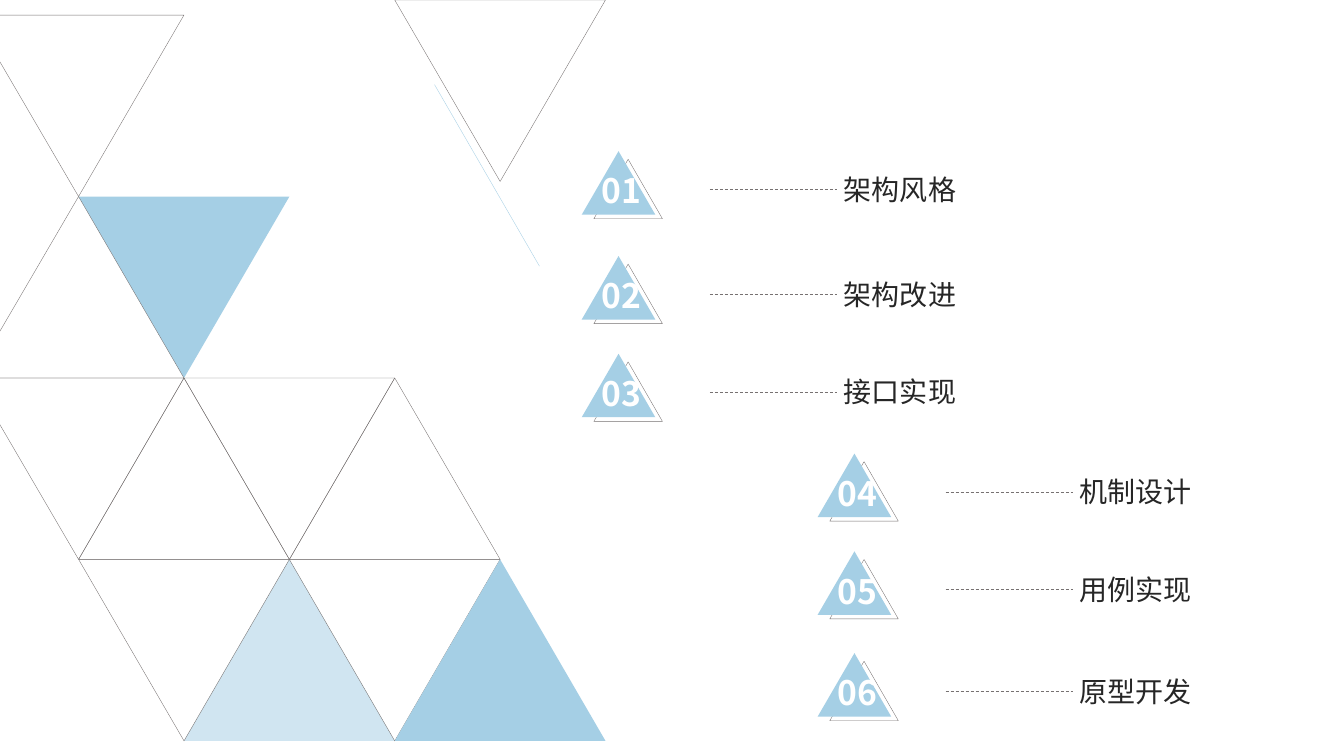
from lxml import etree
from pptx import Presentation
from pptx.dml.color import RGBColor
from pptx.enum.dml import MSO_LINE
from pptx.enum.shapes import MSO_CONNECTOR, MSO_SHAPE
from pptx.enum.text import MSO_ANCHOR, MSO_AUTO_SIZE, PP_ALIGN
from pptx.oxml.ns import qn
from pptx.util import Inches, Pt

TRIANGLE = MSO_SHAPE.ISOSCELES_TRIANGLE
STRAIGHT = MSO_CONNECTOR.STRAIGHT
DASH = MSO_LINE.DASH
MIDDLE = MSO_ANCHOR.MIDDLE
GROW = MSO_AUTO_SIZE.SHAPE_TO_FIT_TEXT
JUSTIFY = PP_ALIGN.JUSTIFY

FONT = "Noto Sans CJK SC"
COLORS = {"blue": "A5CFE5", "gray": "767171", "ink": "262626", "white": "FFFFFF"}

# Triangle pattern: left and top of the lattice, half a side, row height
LEFT, TOP, HALF, ROW = 0.78, 0.15, 1.045, 1.8
EDGE = -0.02

# Half-side steps, row, points down, fill, opacity in percent
PATTERN = [
    (1, 2, True, None, 100),
    (1, 3, False, "blue", 52),
    (0, 2, False, None, 100),
    (2, 3, True, None, 100),
    (3, 3, False, "blue", 100),
    (0, 3, True, None, 100),
    (0, 1, True, "blue", 100),
    (2, 2, False, None, 100),
]
# Row of the flat side of each cut triangle, and row of its tip
CUTS = [(2, 3), (2, 1), (0, 1)]

AGENDA = [
    (5.77, 1.5, "架构风格"),
    (5.77, 2.54, "架构改进"),
    (5.77, 3.51, "接口实现"),
    (8.11, 4.5, "机制设计"),
    (8.11, 5.47, "用例实现"),
    (8.11, 6.48, "原型开发"),
]


class Deck:
    def __init__(self):
        self.prs = Presentation()
        self.prs.slide_width = Inches(13.33)
        self.prs.slide_height = Inches(7.5)
        self.slide = self.prs.slides.add_slide(self.prs.slide_layouts[6])
        self.shapes = self.slide.shapes

    def color(self, name):
        return RGBColor.from_string(COLORS[name])

    def paint(self, shape, fill=None, alpha=100):
        """Fill a shape, or give it a thin outline when it has no fill."""
        shape.shadow.inherit = False
        if fill is None:
            shape.fill.background()
            shape.line.color.rgb = self.color("gray")
            shape.line.width = Pt(0.25)
            return
        shape.fill.solid()
        shape.fill.fore_color.rgb = self.color(fill)
        shape.line.fill.background()
        if alpha < 100:
            tint = shape.fill._xPr.find(".//" + qn("a:srgbClr"))
            etree.SubElement(tint, qn("a:alpha"), val=str(alpha * 1000))

    def triangle(self, x, y, w, h, down=False, fill=None, alpha=100):
        shape = self.shapes.add_shape(
            TRIANGLE, Inches(x), Inches(y), Inches(w), Inches(h))
        shape.rotation = 180 if down else 0
        self.paint(shape, fill, alpha)

    def outline(self, points):
        spots = [(Inches(x), Inches(y)) for x, y in points]
        form = self.shapes.build_freeform(*spots[0])
        form.add_line_segments(spots[1:], close=True)
        self.paint(form.convert_to_shape())

    def line(self, x1, y1, x2, y2, color, width, dash=None):
        line = self.shapes.add_connector(
            STRAIGHT, Inches(x1), Inches(y1), Inches(x2), Inches(y2))
        line.line.color.rgb = self.color(color)
        line.line.width = Pt(width)
        if dash is not None:
            line.line.dash_style = dash
        etree.SubElement(line._element.spPr, qn("a:effectLst"))

    def text(self, x, y, w, h, words, size, color, bold=False):
        box = self.shapes.add_textbox(Inches(x), Inches(y), Inches(w), Inches(h))
        frame = box.text_frame
        frame.word_wrap = True
        frame.text = words
        run = frame.paragraphs[0].runs[0]
        run.font.name = FONT
        run.font.size = Pt(size)
        run.font.bold = bold
        run.font.color.rgb = self.color(color)
        etree.SubElement(run.font._element, qn("a:ea"), typeface=FONT)
        return frame

    def number(self, x, y, words):
        frame = self.text(x, y, 0.68, 0.5, words, 24, "white", bold=True)
        frame.auto_size = GROW

    def label(self, x, y, words):
        frame = self.text(x, y, 2.41, 0.51, words, 20, "ink")
        frame.margin_left = frame.margin_right = 0
        frame.margin_top = frame.margin_bottom = 0
        frame.vertical_anchor = MIDDLE
        frame.paragraphs[0].alignment = JUSTIFY

    def item(self, x, y, index, words):
        """Add one agenda entry: badge, number, dashed leader and label."""
        self.triangle(x + 0.12, y + 0.08, 0.68, 0.59)
        self.triangle(x, y, 0.73, 0.63, fill="blue")
        self.number(x + 0.1, y + 0.14, f"{index:02d}")
        self.label(x + 2.6, y + 0.12, words)
        self.line(x + 1.27, y + 0.38, x + 2.53, y + 0.38, "gray", 0.5, DASH)


def main():
    deck = Deck()
    deck.triangle(LEFT + 3 * HALF, 0, 2 * HALF, ROW, down=True)
    for step, row, down, fill, alpha in PATTERN:
        deck.triangle(LEFT + step * HALF, TOP + row * ROW, 2 * HALF, ROW,
                      down, fill, alpha)
    for flat, tip in CUTS:
        base = TOP + flat * ROW
        side = base + 0.43 * (tip - flat)
        deck.outline([(LEFT + HALF, base), (EDGE, base), (EDGE, side),
                      (LEFT, TOP + tip * ROW)])
    deck.line(4.31, 0.84, 5.35, 2.64, "blue", 0.25)
    for index, (x, y, words) in enumerate(AGENDA, 1):
        deck.item(x, y, index, words)
    deck.prs.save("out.pptx")


if __name__ == "__main__":
    main()
